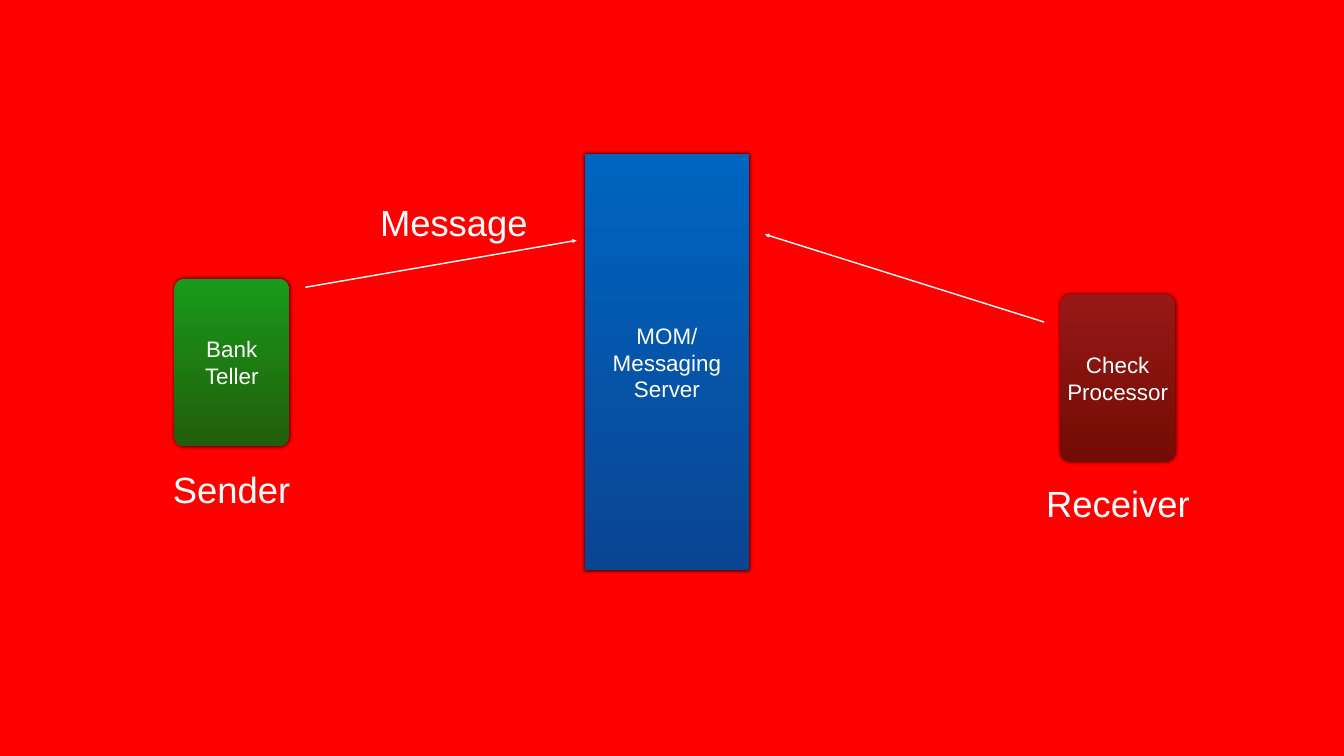
from lxml import etree
from pptx import Presentation
from pptx.dml.color import RGBColor
from pptx.enum.shapes import MSO_CONNECTOR, MSO_SHAPE
from pptx.enum.text import MSO_ANCHOR, MSO_AUTO_SIZE, PP_ALIGN
from pptx.oxml import parse_xml
from pptx.oxml.ns import nsdecls, qn
from pptx.util import Inches, Pt

RECT, ROUND = MSO_SHAPE.RECTANGLE, MSO_SHAPE.ROUNDED_RECTANGLE
WHITE, RED = "FFFFFF", "FF0000"

# preset, (left, top, width, height), (top colour, bottom colour), paragraphs
BOXES = [
    (RECT, (11.6, 3.06, 3.27, 8.25), ("0065C1", "094593"), ["MOM/", "Messaging Server"]),
    (ROUND, (3.46, 5.53, 2.28, 3.32), ("189B1A", "235D0B"), ["Bank Teller"]),
    (ROUND, (21.04, 5.84, 2.28, 3.32), ("971817", "720C04"), ["Check", "Processor"]),
]
# start x, start y, end x, end y
ARROWS = [(6.06, 5.7, 11.44, 4.77), (20.72, 6.39, 15.18, 4.65)]
LABELS = [
    ("Sender", (3.37, 9.21, 2.45, 0.97)),
    ("Receiver", (20.7, 9.49, 2.97, 0.97)),
    ("Message", (7.46, 3.92, 3.09, 0.97)),
]
SHADOW = (
    f'<a:outerShdw {nsdecls("a")} blurRad="{Pt(6)}" dist="0" dir="18900000" rotWithShape="0">'
    '<a:srgbClr val="000000"><a:alpha val="80000"/></a:srgbClr></a:outerShdw>'
)


def color(hex_code):
    return RGBColor.from_string(hex_code)


def lengths(values):
    return [Inches(v) for v in values]


def write(tf, lines, size, wrap=True, font="Arial", fg=WHITE):
    tf.word_wrap = wrap
    tf.auto_size = MSO_AUTO_SIZE.NONE if wrap else MSO_AUTO_SIZE.SHAPE_TO_FIT_TEXT
    tf.vertical_anchor = MSO_ANCHOR.MIDDLE
    tf.margin_left = tf.margin_right = tf.margin_top = tf.margin_bottom = Inches(0.06)
    for i, line in enumerate(lines):
        p = tf.add_paragraph() if i else tf.paragraphs[0]
        p.alignment = PP_ALIGN.CENTER
        r = p.add_run()
        r.text = line
        r.font.name, r.font.size = font, Pt(size)
        r.font.color.rgb = color(fg)


def add_box(s, preset, place, colors, lines):
    sp = s.shapes.add_shape(preset, *lengths(place))
    if preset == ROUND:
        sp.adjustments[0] = 0.091
    sp.fill.gradient()
    sp.fill.gradient_angle = 270
    for stop, hex_code in zip(sp.fill.gradient_stops, colors):
        stop.color.rgb = color(hex_code)
    sp.line.fill.background()
    sp.shadow.inherit = False
    sp._element.spPr.find(qn("a:effectLst")).append(parse_xml(SHADOW))
    write(sp.text_frame, lines, 32)


def add_arrow(s, ends):
    arrow = s.shapes.add_connector(MSO_CONNECTOR.STRAIGHT, *lengths(ends))
    arrow.line.color.rgb = color(WHITE)
    arrow.line.width = Pt(2)
    props = arrow._element.spPr
    etree.SubElement(props.find(qn("a:ln")), qn("a:tailEnd"), type="triangle")
    etree.SubElement(props, qn("a:effectLst"))


prs = Presentation()
prs.slide_width, prs.slide_height = Inches(26.67), Inches(15)
s = prs.slides.add_slide(prs.slide_layouts[6])
s.background.fill.solid()
s.background.fill.fore_color.rgb = color(RED)

for box in BOXES:
    add_box(s, *box)
for ends in ARROWS:
    add_arrow(s, ends)
for text, place in LABELS:
    write(s.shapes.add_textbox(*lengths(place)).text_frame, [text], 52, wrap=False)

prs.save("out.pptx")
